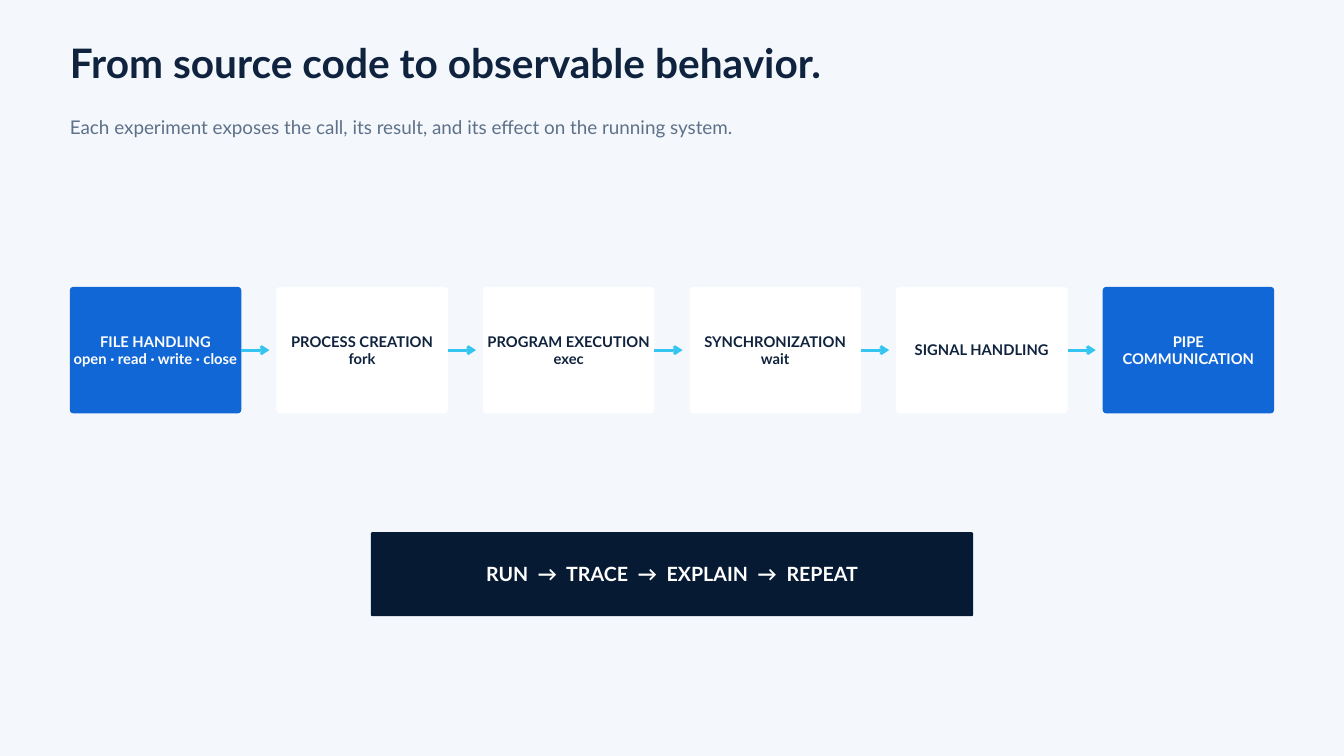
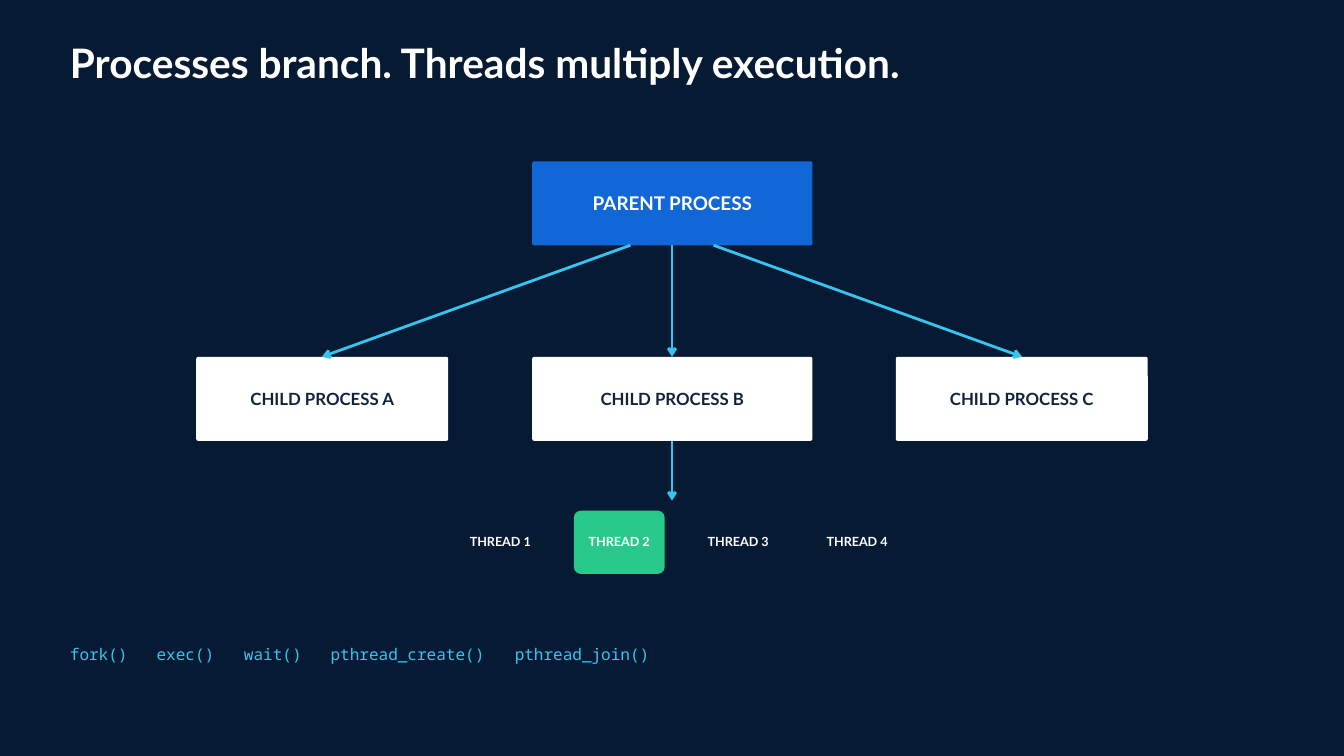
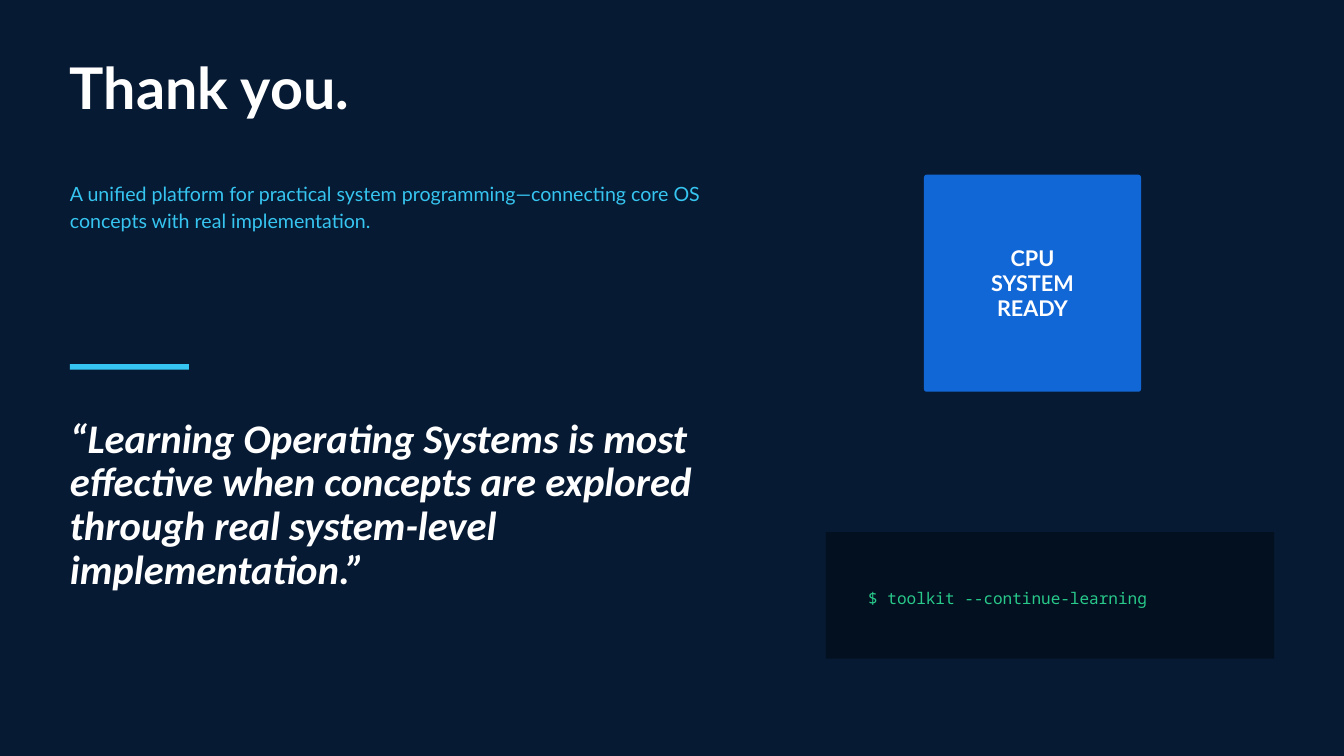
from lxml.etree import SubElement
from pptx import Presentation
from pptx.dml.color import RGBColor
from pptx.enum.shapes import MSO_CONNECTOR, MSO_SHAPE
from pptx.enum.text import MSO_ANCHOR, PP_ALIGN
from pptx.oxml.ns import qn
from pptx.util import Inches, Pt

NAVY, INK, BLUE, CYAN = "071A33", "10233E", "1267D6", "36C5F0"
GREEN, WHITE, PALE, GREY, BLACK = "28C98B", "FFFFFF", "F4F8FC", "5E7189", "03101F"
SANS, MONO = "Lato", "Noto Sans Mono"
LEFT, RIGHT, MID = 1.04, 18.96, 10


def paint(fmt, color):
    """Apply a solid colour to a fill."""
    fmt.solid()
    fmt.fore_color.rgb = RGBColor.from_string(color)


def write(frame, text, size, color=WHITE, font=SANS, bold=False, italic=False,
          lead=None, align=PP_ALIGN.LEFT, anchor=MSO_ANCHOR.TOP,
          inset=0, wrap=True, tabs=()):
    """Fill a text frame, one paragraph for each line."""
    frame.word_wrap = wrap
    frame.vertical_anchor = anchor
    frame.margin_left = frame.margin_right = Inches(inset)
    frame.margin_top = frame.margin_bottom = Inches(inset)
    for i, line in enumerate(text.split("\n")):
        para = frame.add_paragraph() if i else frame.paragraphs[0]
        para.alignment = align
        para.line_spacing = Pt(lead or round(size * 1.15, 1))
        if tabs:
            stops = SubElement(para._p.get_or_add_pPr(), qn("a:tabLst"))
            for stop in tabs:
                SubElement(stops, qn("a:tab"), pos=str(Inches(stop)), algn="l")
        run = para.add_run()
        run.text = line
        run.font.name, run.font.size = font, Pt(size)
        run.font.bold, run.font.italic = bold, italic
        run.font.color.rgb = RGBColor.from_string(color)


def label(slide, text, x, y, w, h, size, **style):
    """Add a text box without margins."""
    box = slide.shapes.add_textbox(Inches(x), Inches(y), Inches(w), Inches(h))
    write(box.text_frame, text, size, **style)


def title(slide, text, color=WHITE):
    """Add the slide heading."""
    label(slide, text, LEFT, 0.64, 15.1, 0.76, 43.5, color=color, bold=True, lead=47)


def block(slide, x, y, w, h, fill, radius=0):
    """Add a plain filled box, rounded when a radius is given."""
    kind = MSO_SHAPE.ROUNDED_RECTANGLE if radius else MSO_SHAPE.RECTANGLE
    box = slide.shapes.add_shape(kind, Inches(x), Inches(y), Inches(w), Inches(h))
    if radius:
        box.adjustments[0] = radius / min(w, h)
    box.shadow.inherit = False
    paint(box.fill, fill)
    box.line.fill.background()
    return box


def card(slide, text, x, y, w, h, fill, size, radius=0.03, wrap=True):
    """Add a rounded box with centred bold text."""
    box = block(slide, x, y, w, h, fill, radius)
    write(box.text_frame, text, size, color=INK if fill == WHITE else WHITE,
          bold=True, align=PP_ALIGN.CENTER, anchor=MSO_ANCHOR.MIDDLE,
          inset=0.06, wrap=wrap)


def arrow(slide, x1, y1, x2, y2):
    """Draw a cyan arrow between two points."""
    line = slide.shapes.add_connector(
        MSO_CONNECTOR.STRAIGHT, Inches(x1), Inches(y1), Inches(x2), Inches(y2))
    paint(line.line.fill, CYAN)
    line.line.width = Pt(3)
    SubElement(line.line._get_or_add_ln(), qn("a:tailEnd"), type="arrow")
    SubElement(line._element.spPr, qn("a:effectLst"))


def page(deck, color):
    """Add a blank slide with a background colour."""
    slide = deck.slides.add_slide(deck.slide_layouts[6])
    paint(slide.background.fill, color)
    return slide


def flow(deck):
    """Build the slide with the chain of experiments."""
    slide = page(deck, PALE)
    title(slide, "From source code to observable behavior.", INK)
    label(slide, "Each experiment exposes the call, its result, and its effect "
          "on the running system.", LEFT, 1.68, 10.42, 0.37, 20.2, color=GREY, lead=27.3)
    steps = ["FILE HANDLING\nopen · read · write · close", "PROCESS CREATION\nfork",
             "PROGRAM EXECUTION\nexec", "SYNCHRONIZATION\nwait",
             "SIGNAL HANDLING", "PIPE COMMUNICATION"]
    top, wide, high, last = 4.27, 2.55, 1.88, len(steps) - 1
    pitch = (RIGHT - LEFT - wide) / last
    for i, step in enumerate(steps):
        x = LEFT + i * pitch
        card(slide, step, x, top, wide, high, BLUE if i in (0, last) else WHITE,
             15.8, radius=0.05, wrap="\n" not in step)
        if i < last:
            arrow(slide, x + wide, top + high / 2, x + wide + 0.42, top + high / 2)
    card(slide, "RUN  →  TRACE  →  EXPLAIN  →  REPEAT", 5.52, 7.92, 8.96, 1.25,
         NAVY, 21, radius=0.02)


def tree(deck):
    """Build the slide with the process tree."""
    slide = page(deck, NAVY)
    title(slide, "Processes branch. Threads multiply execution.")
    label(slide, "fork()\texec()\twait()\tpthread_create()\tpthread_join()",
          LEFT, 9.55, 16.15, 0.32, 17.2, color=CYAN, font=MONO, lead=23.3,
          tabs=(1.29, 2.59, 3.88, 6.62))
    high, top, low = 1.25, 2.4, 5.31
    card(slide, "PARENT PROCESS", 7.92, top, 4.17, high, BLUE, 20.2)
    kids = [("A", 2.92, 3.75), ("B", 7.92, 4.17), ("C", 13.33, 3.75)]
    for name, x, wide in kids:
        card(slide, f"CHILD PROCESS {name}", x, low, wide, high, WHITE, 18)
    for side in (-1, 0, 1):
        arrow(slide, MID + side * 0.62, top + high, MID + side * 5.21, low)
    for i in range(4):
        card(slide, f"THREAD {i + 1}", 6.77 + i * 1.77, 7.6, 1.35, 0.94,
             GREEN if i == 1 else NAVY, 13.5, radius=0.1)
    arrow(slide, MID, low + high, MID, 7.45)


def close(deck):
    """Build the closing slide."""
    slide = page(deck, NAVY)
    label(slide, "Thank you.", LEFT, 0.93, 9.38, 1.03, 61.5, bold=True, lead=62.7)
    label(slide, "A unified platform for practical system programming—connecting "
          "core OS concepts with real implementation.",
          LEFT, 2.67, 9.38, 0.77, 21, color=CYAN, lead=28.4)
    block(slide, LEFT, 5.42, 1.77, 0.08, CYAN)
    label(slide, "“Learning Operating Systems is most effective when concepts are "
          "explored through real system-level implementation.”",
          LEFT, 6.21, 10.8, 2.7, 43.5, font="Calibri", bold=True, italic=True, lead=47)
    block(slide, 12.29, 7.92, 6.67, 1.88, BLACK)
    label(slide, "$ toolkit --continue-learning", 12.92, 8.72, 5.83, 0.32, 17.2,
          color=GREEN, font=MONO, lead=23.3)
    card(slide, "CPU\nSYSTEM\nREADY", 13.75, 2.6, 3.23, 3.23, BLUE, 23.2, radius=0.04)


def main():
    """Build and save the deck."""
    deck = Presentation()
    deck.slide_width, deck.slide_height = Inches(20), Inches(11.25)
    for build in (flow, tree, close):
        build(deck)
    deck.save("out.pptx")


if __name__ == "__main__":
    main()
